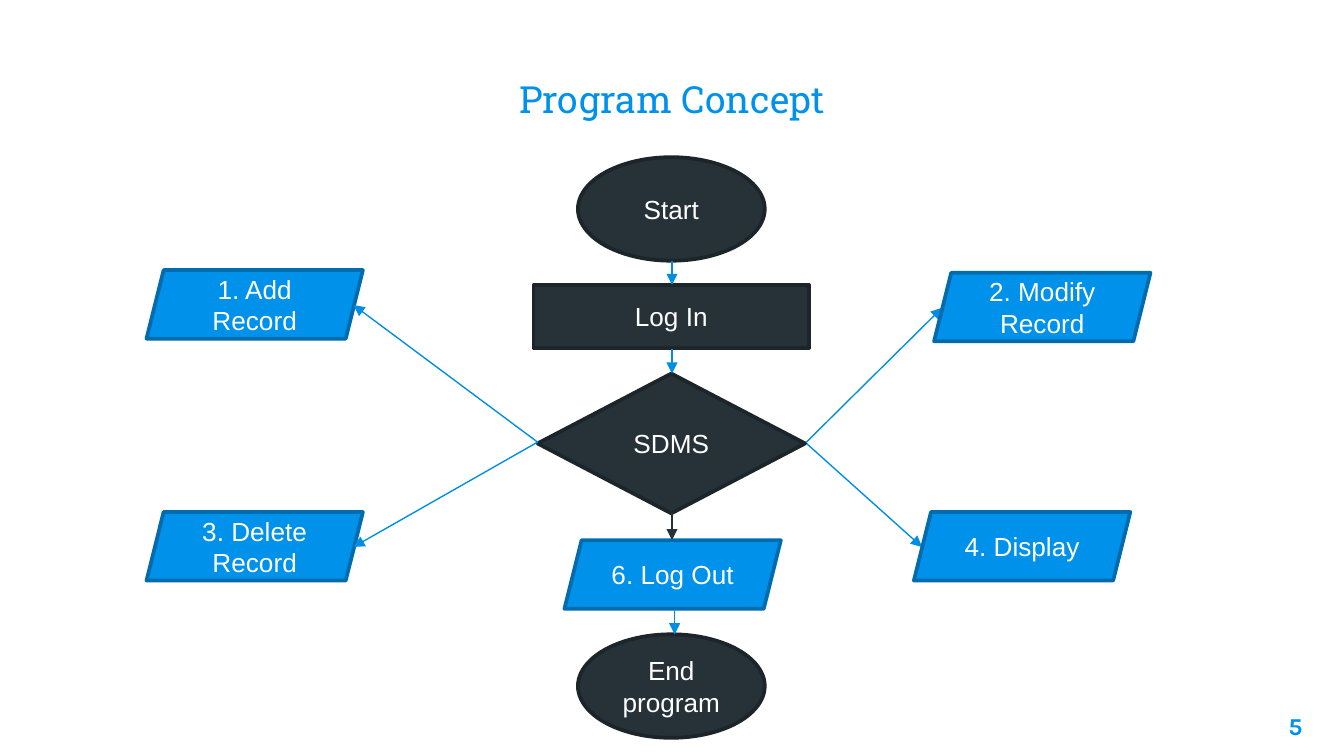
from dataclasses import dataclass

from lxml import etree
from pptx import Presentation
from pptx import util as u
from pptx.dml.color import RGBColor
from pptx.enum import shapes, text
from pptx.oxml.ns import qn


@dataclass(frozen=True)
class Theme:
    blue: str = "0091EA"
    blue_edge: str = "006BAD"
    dark: str = "263238"
    dark_edge: str = "1C2529"
    arrow: str = "008EE5"
    dark_arrow: str = "253137"
    white: str = "FFFFFF"
    title_size: int = 20
    body_size: int = 14
    number_size: int = 13
    edge_width: float = 2
    arrow_width: float = 0.75


THEME = Theme()
PX = u.Inches(1) // 100  # 100 px to the inch
WIDTH = 1000

# Content: label, kind, left, top
TITLE = "Program Concept"
PAGE_NUMBER = "5"
STEPS = [
    ("Start", "terminal", 430, 117),
    ("Log In", "process", 397, 212),
    ("SDMS", "decision", 400, 278),
    ("6. Log Out", "action", 420, 402),
    ("End program", "terminal", 430, 472),
    ("2. Modify Record", "action", 695, 203),
    ("4. Display", "action", 680, 381),
    ("3. Delete Record", "action", 109, 381),
    ("1. Add Record", "action", 109, 201),
]
# Kind: preset shape, width, height, fill, edge
KINDS = {
    "terminal": (shapes.MSO_SHAPE.OVAL, 139, 77, THEME.dark, THEME.dark_edge),
    "process": (shapes.MSO_SHAPE.RECTANGLE, 205, 47, THEME.dark, THEME.dark_edge),
    "decision": (shapes.MSO_SHAPE.FLOWCHART_DECISION, 199, 104, THEME.dark, THEME.dark_edge),
    "action": (shapes.MSO_SHAPE.PARALLELOGRAM, 161, 51, THEME.blue, THEME.blue_edge),
}
# Arrows: start, end, colour
ARROWS_BEHIND = [
    ((600, 329), (701, 229), THEME.arrow),
    ((599, 329), (686, 407), THEME.arrow),
]
ARROWS_IN_FRONT = [
    ((500, 194), (500, 212), THEME.arrow),
    ((500, 260), (500, 278), THEME.arrow),
    ((500, 381), (500, 402), THEME.dark_arrow),
    ((502, 453), (502, 472), THEME.arrow),
    ((400, 329), (263, 227), THEME.arrow),
    ((400, 329), (263, 407), THEME.arrow),
]


def emu(*lengths):
    return [length * PX for length in lengths]


def rgb(colour):
    return RGBColor.from_string(colour)


def write(frame, words, font, size, colour, align, anchor, bold=False):
    frame.text = words
    frame.word_wrap = True
    frame.vertical_anchor = anchor
    para = frame.paragraphs[0]
    para.alignment = align
    span = para.runs[0].font
    span.name, span.size, span.bold = font, u.Pt(size), bold
    span.color.rgb = rgb(colour)


def add_label(page, box, *style, **options):
    frame = page.shapes.add_textbox(*emu(*box)).text_frame
    frame.margin_left = frame.margin_right = 10 * PX
    frame.margin_top = frame.margin_bottom = 10 * PX
    write(frame, *style, **options)


def add_step(page, label, kind, left, top):
    preset, width, height, fill, edge = KINDS[kind]
    step = page.shapes.add_shape(preset, *emu(left, top, width, height))
    step.shadow.inherit = False
    step.fill.solid()
    step.fill.fore_color.rgb = rgb(fill)
    step.line.color.rgb = rgb(edge)
    step.line.width = u.Pt(THEME.edge_width)
    write(step.text_frame, label, "Arial", THEME.body_size, THEME.white,
          text.PP_ALIGN.CENTER, text.MSO_ANCHOR.MIDDLE)


def add_arrow(page, start, end, colour):
    arrow = page.shapes.add_connector(shapes.MSO_CONNECTOR.STRAIGHT, *emu(*start, *end))
    arrow.line.color.rgb = rgb(colour)
    arrow.line.width = u.Pt(THEME.arrow_width)
    line = arrow._element.spPr.find(qn("a:ln"))
    etree.SubElement(line, qn("a:tailEnd"), type="triangle")
    etree.SubElement(arrow._element.spPr, qn("a:effectLst"))


def main():
    deck = Presentation()
    deck.slide_width = WIDTH * PX
    deck.slide_height = deck.slide_width * 9 // 16
    page = deck.slides.add_slide(deck.slide_layouts[6])

    # Arrows that end beneath the right-hand actions
    for arrow in ARROWS_BEHIND:
        add_arrow(page, *arrow)

    # Title and page number
    add_label(page, (86, 23, 828, 77), TITLE, "Roboto Slab", THEME.title_size,
              THEME.blue, text.PP_ALIGN.CENTER, text.MSO_ANCHOR.BOTTOM)
    add_label(page, (919, 519, 60, 43), PAGE_NUMBER, "Karla", THEME.number_size,
              THEME.blue, text.PP_ALIGN.RIGHT, text.MSO_ANCHOR.TOP, bold=True)

    # Flowchart
    for step in STEPS:
        add_step(page, *step)
    for arrow in ARROWS_IN_FRONT:
        add_arrow(page, *arrow)

    deck.save("out.pptx")


if __name__ == "__main__":
    main()
